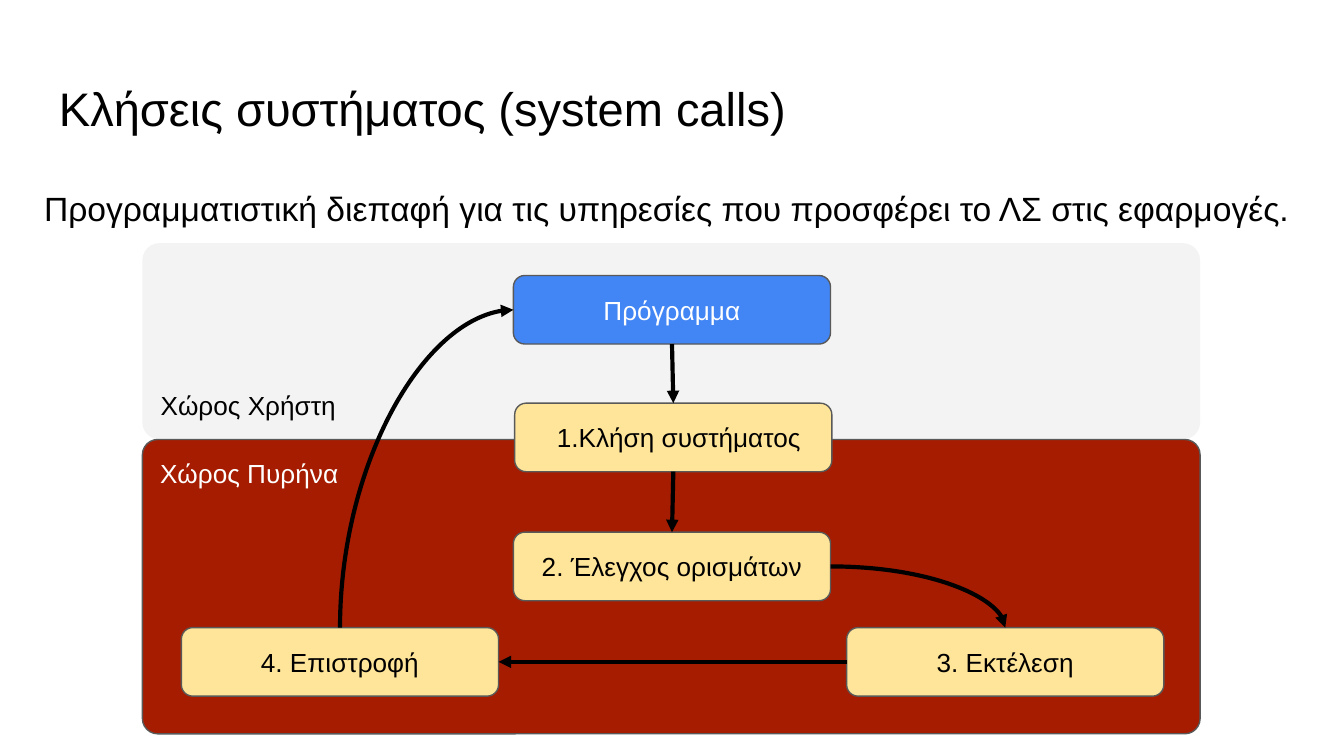
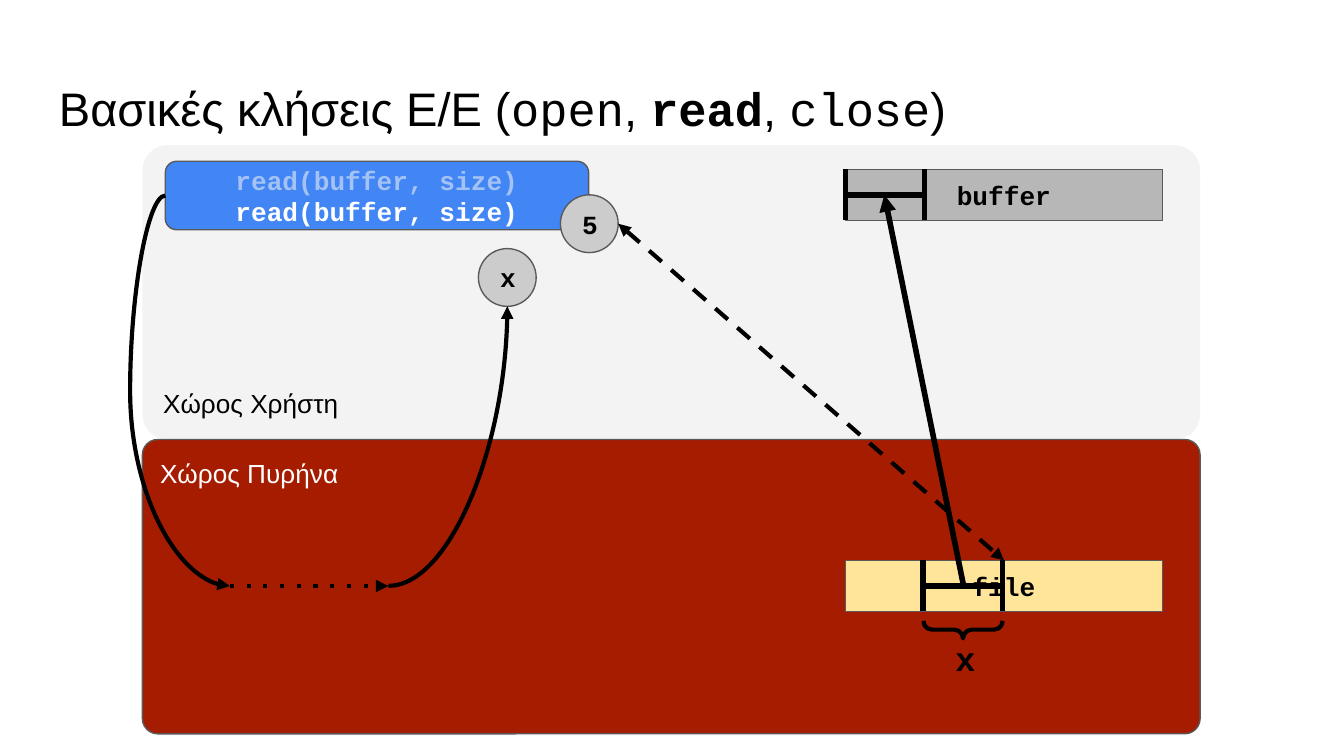
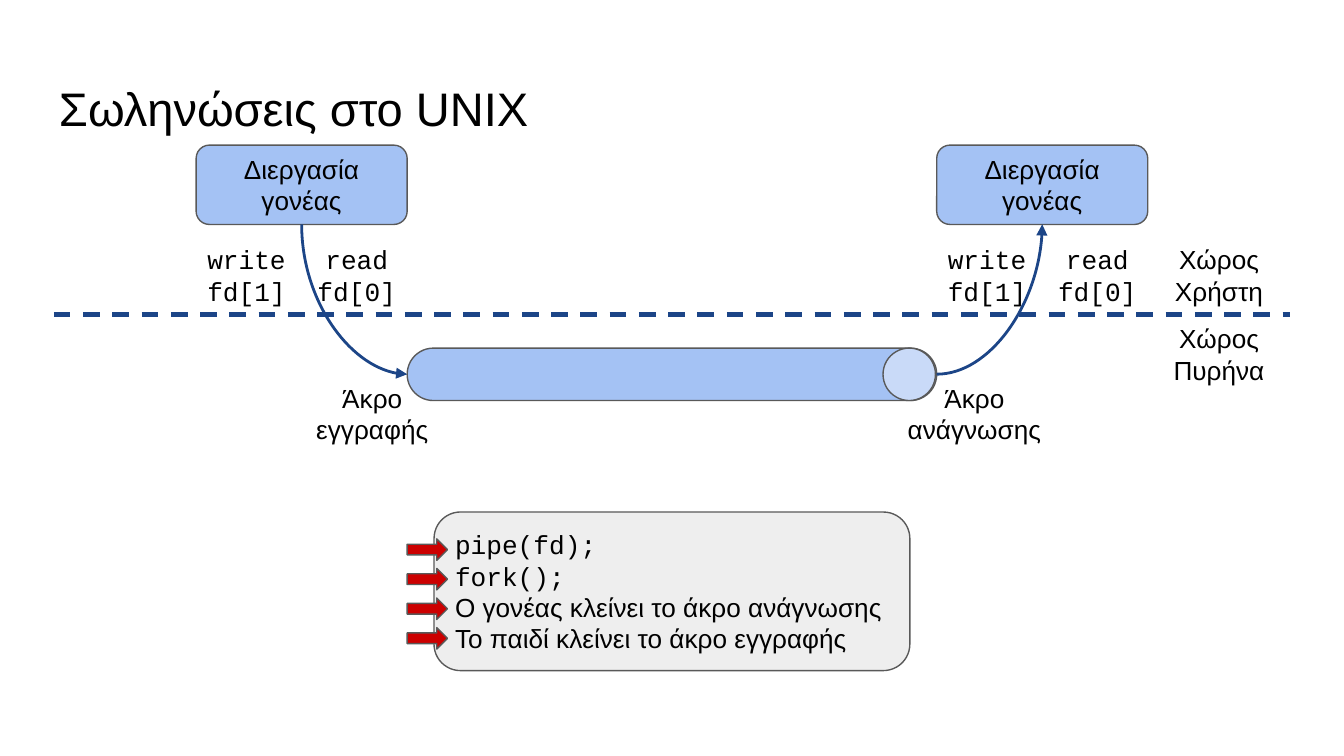
from dataclasses import dataclass
from typing import NamedTuple, Optional, Union

from lxml.etree import SubElement
from pptx import Presentation
from pptx.dml.color import RGBColor
from pptx.enum.shapes import MSO_CONNECTOR as Wire, MSO_SHAPE as Form
from pptx.enum.text import MSO_ANCHOR as Anchor, PP_ALIGN as Align
from pptx.oxml.ns import qn
from pptx.shapes.autoshape import Shape
from pptx.shapes.connector import Connector
from pptx.slide import Slide
from pptx.util import Pt

PX = 9144  # EMU: 100 px to the inch
WIDE = 1000


@dataclass(frozen=True)
class Theme:
    sans: str = "Arial"
    mono: str = "Courier New"
    head: float = 25.2
    body: float = 18
    note: float = 14
    black: str = "000000"
    white: str = "FFFFFF"
    edge: str = "595959"
    user: str = "F3F3F3"
    kernel: str = "A61C00"
    step: str = "FFE599"
    app: str = "4285F4"
    pale: str = "A4C2F4"
    mouth: str = "C9DAF8"
    navy: str = "1C4587"
    store: str = "B7B7B7"
    disc: str = "CCCCCC"
    code: str = "EEEEEE"
    mark: str = "CC0000"


T = Theme()


class Rect(NamedTuple):
    x: int
    y: int
    w: int
    h: int


class Run(NamedTuple):
    text: str
    face: Optional[str] = None
    bold: Optional[bool] = None
    color: Optional[str] = None


class Pin(NamedTuple):
    """Middle of a side of a shape: 0 top, 1 left, 2 bottom, 3 right."""
    box: Shape
    side: int


class Spot(NamedTuple):
    x: int
    y: int


End = Union[Pin, Spot]
SIDES = ((0.5, 0), (0, 0.5), (0.5, 1), (1, 0.5))


@dataclass(frozen=True)
class Pen:
    color: str = T.black
    width: float = 2.25
    dash: str = ""
    head: bool = False
    tail: bool = True


ARROW = Pen()
BAR = Pen(width=3, tail=False)
FLOW = Pen(T.navy, 1.5)


@dataclass(frozen=True)
class Card:
    """A filled shape with its text."""
    rect: Rect
    text: tuple = ()
    fill: str = T.step
    form: Form = Form.ROUNDED_RECTANGLE
    edge: bool = True
    adj: tuple = ()
    color: str = T.black
    face: str = T.sans
    bold: bool = False
    align: Align = Align.CENTER
    anchor: Anchor = Anchor.MIDDLE


def rgb(code: str) -> RGBColor:
    return RGBColor.from_string(code)


def write(shape: Shape, paras: tuple, *, size: float = T.note, color: str = T.black,
          face: str = T.sans, bold: bool = False, align: Align = Align.CENTER,
          anchor: Anchor = Anchor.MIDDLE, lead: Optional[float] = None,
          after: Optional[float] = None) -> None:
    """Fill a shape with paragraphs, each a string or a tuple of runs."""
    frame = shape.text_frame
    frame.word_wrap = True
    frame.vertical_anchor = anchor
    frame.margin_left = frame.margin_right = 10 * PX
    frame.margin_top = frame.margin_bottom = 10 * PX
    for i, para in enumerate(paras):
        p = frame.add_paragraph() if i else frame.paragraphs[0]
        p.alignment = align
        if lead:
            p.line_spacing = lead
        if after:
            p.space_after = Pt(after)
        for part in (Run(para),) if isinstance(para, str) else para:
            r = p.add_run()
            r.text = part.text
            r.font.size = Pt(size)
            r.font.name = part.face or face
            r.font.bold = bold if part.bold is None else part.bold
            r.font.color.rgb = rgb(part.color or color)


def label(slide: Slide, rect: Rect, *paras, **fmt) -> None:
    write(slide.shapes.add_textbox(*(v * PX for v in rect)), paras, **fmt)


def title(slide: Slide, para) -> None:
    label(slide, Rect(34, 49, 932, 63), para, size=T.head,
          align=Align.LEFT, anchor=Anchor.TOP)


def draw(slide: Slide, card: Card) -> Shape:
    shape = slide.shapes.add_shape(card.form, *(v * PX for v in card.rect))
    shape.shadow.inherit = False
    shape.fill.solid()
    shape.fill.fore_color.rgb = rgb(card.fill)
    if card.edge:
        shape.line.color.rgb = rgb(T.edge)
        shape.line.width = Pt(0.75)
    else:
        shape.line.fill.background()
    for i, value in enumerate(card.adj):
        shape.adjustments[i] = value
    if card.text:
        write(shape, card.text, color=card.color, face=card.face, bold=card.bold,
              align=card.align, anchor=card.anchor)
    return shape


def number(shape: Shape) -> None:
    """Turn the first paragraph into item 1 of a numbered list."""
    p = shape.text_frame.paragraphs[0]
    p.alignment = Align.LEFT
    props = p._p.get_or_add_pPr()
    props.set("marL", str(34 * PX))
    props.set("indent", str(-15 * PX))
    SubElement(SubElement(props, qn("a:buClr")), qn("a:srgbClr"), val=T.black)
    SubElement(props, qn("a:buAutoNum"), type="arabicPeriod")


def place(end: End) -> tuple[int, int]:
    if isinstance(end, Spot):
        return end.x * PX, end.y * PX
    box, (fx, fy) = end.box, SIDES[end.side]
    return box.left + int(box.width * fx), box.top + int(box.height * fy)


def join(slide: Slide, a: End, b: End, pen: Pen = ARROW,
         kind: Wire = Wire.STRAIGHT) -> Connector:
    line = slide.shapes.add_connector(kind, *place(a), *place(b))
    for end, glue, tag in ((a, line.begin_connect, "stCxn"),
                           (b, line.end_connect, "endCxn")):
        if isinstance(end, Pin):
            glue(end.box, end.side)
            if end.box.auto_shape_type == Form.OVAL:  # an oval has eight sites
                line.element.xpath(f".//a:{tag}")[0].set("idx", str(end.side * 2))
    line.line.color.rgb = rgb(pen.color)
    line.line.width = Pt(pen.width)
    ln = line.element.xpath(".//a:ln")[0]
    if pen.dash:
        SubElement(ln, qn("a:prstDash"), val=pen.dash)
    for on, tag in ((pen.head, "a:headEnd"), (pen.tail, "a:tailEnd")):
        if on:
            SubElement(ln, qn(tag), type="triangle")
    SubElement(ln.getparent(), qn("a:effectLst"))
    return line


def bend(slide: Slide, a: End, b: End, pen: Pen = ARROW, upright: bool = False) -> None:
    """Quarter curve; upright ones leave vertically and run to the right."""
    line = join(slide, a, b, pen, Wire.CURVE)
    line.element.xpath(".//a:prstGeom")[0].set("prst", "curvedConnector2")
    if not upright:
        return
    (ax, ay), (bx, by) = place(a), place(b)
    w, h = abs(by - ay), abs(bx - ax)
    line.left, line.top = (ax + bx - w) // 2, (ay + by - h) // 2
    line.width, line.height = w, h
    xfrm = line.element.xpath(".//a:xfrm")[0]
    xfrm.set("rot", "16200000")
    xfrm.set("flipH", str(int(by > ay)))
    xfrm.set("flipV", "0")


def zones(slide: Slide, top: int) -> None:
    """User space from top down to the kernel space below it."""
    split = 327
    draw(slide, Card(Rect(106, top, 787, split - top), ("Χώρος Χρήστη",), T.user,
                     edge=False, adj=(0.087,), align=Align.LEFT, anchor=Anchor.BOTTOM))
    draw(slide, Card(Rect(106, split, 787, 219), ("Χώρος Πυρήνα",), T.kernel,
                     adj=(0.052,), color=T.white, align=Align.LEFT, anchor=Anchor.TOP))


def calls(slide: Slide) -> None:
    zones(slide, 181)
    title(slide, "Κλήσεις συστήματος (system calls)")
    label(slide, Rect(23, 125, 953, 55),
          "Προγραμματιστική διεπαφή για τις υπηρεσίες που προσφέρει το ΛΣ στις εφαρμογές.",
          size=T.body, align=Align.LEFT, anchor=Anchor.TOP, lead=1.15, after=12)

    def step(x: int, y: int, text: str, **look) -> Shape:
        return draw(slide, Card(Rect(x, y, 236, 51), (text,), **look))

    call = step(383, 300, "Κλήση συστήματος")
    number(call)
    check = step(382, 396, "2. Έλεγχος ορισμάτων")
    run = step(630, 467, "3. Εκτέλεση")
    back = step(135, 467, "4. Επιστροφή")
    prog = step(382, 205, "Πρόγραμμα", fill=T.app, color=T.white)
    join(slide, Pin(prog, 2), Pin(call, 0))
    join(slide, Pin(call, 2), Pin(check, 0))
    bend(slide, Pin(check, 3), Pin(run, 0))
    join(slide, Pin(run, 1), Pin(back, 3))
    bend(slide, Pin(back, 0), Pin(prog, 1), upright=True)


def reading(slide: Slide) -> None:
    zones(slide, 108)
    title(slide, (Run("Βασικές κλήσεις E/E ("), Run("open", T.mono), Run(", "),
                  Run("read", T.mono, True), Run(", "), Run("close", T.mono), Run(")")))

    def code(rect: Rect, *text, **look) -> Shape:
        return draw(slide, Card(rect, text, face=T.mono, bold=True, **look))

    read, tall = "read(buffer, size)", 38
    prog = code(Rect(123, 120, 315, 51), (Run(read, color=T.pale),), read,
                fill=T.app, color=T.white)
    buffer = code(Rect(629, 126, 236, tall), "buffer", fill=T.store, form=Form.RECTANGLE)
    code(Rect(629, 417, 236, tall), "file", form=Form.RECTANGLE)
    five = code(Rect(417, 145, 43, 43), "5", fill=T.disc, form=Form.OVAL)
    count = code(Rect(356, 185, 43, 43), "x", fill=T.disc, form=Form.OVAL)

    join(slide, Pin(five, 3), Spot(747, 417), Pen(dash="dash", head=True))
    start, stop = Spot(171, 436), Spot(289, 436)
    loop = join(slide, Pin(prog, 1), start, kind=Wire.CURVE)
    SubElement(loop.element.xpath(".//a:avLst")[0], qn("a:gd"),
               name="adj1", fmla="val -54600")
    bend(slide, stop, Pin(count, 2))
    join(slide, start, stop, Pen(dash="dot"))

    for x, y, left in ((687, 417, Spot(687, 436)), (629, 126, Pin(buffer, 1))):
        for edge in (x, x + 59):
            join(slide, Spot(edge, y), Spot(edge, y + tall), BAR)
        join(slide, left, Spot(x + 59, y + tall // 2), BAR)
    join(slide, Spot(717, 436), Spot(658, 145), Pen(width=3))

    brace = draw(slide, Card(Rect(710, 439, 13, 59), form=Form.LEFT_BRACE, adj=(0.5, 0.5)))
    brace.rotation = 270
    brace.fill.background()
    brace.line.color.rgb = rgb(T.black)
    brace.line.width = Pt(2.25)
    label(slide, Rect(701, 465, 39, 43), "x", size=T.body, face=T.mono, bold=True,
          align=Align.LEFT, anchor=Anchor.TOP)


def pipes(slide: Slide) -> None:
    title(slide, "Σωληνώσεις στο UNIX")
    tasks = []
    for x, port in ((146, 142), (697, 693)):
        tasks.append(draw(slide, Card(Rect(x, 108, 157, 59), ("Διεργασία", "γονέας"), T.pale)))
        for i, text in enumerate(("write fd[1]", "read fd[0]")):
            label(slide, Rect(port + 82 * i, 175, 83, 59), text, face=T.mono)
    pipe = draw(slide, Card(Rect(303, 259, 394, 39), fill=T.pale, adj=(0.5,)))
    draw(slide, Card(Rect(657, 259, 39, 39), fill=T.mouth, form=Form.OVAL))
    for rect, text in ((Rect(218, 278, 118, 59), "Άκρο εγγραφής"),
                       (Rect(664, 278, 122, 59), "Άκρο ανάγνωσης"),
                       (Rect(848, 234, 118, 59), "Χώρος Πυρήνα"),
                       (Rect(848, 175, 118, 59), "Χώρος Χρήστη")):
        label(slide, rect, text)
    bend(slide, Pin(tasks[0], 2), Pin(pipe, 1), FLOW, upright=True)
    bend(slide, Pin(pipe, 3), Pin(tasks[1], 2), FLOW)
    join(slide, Spot(40, 234), Spot(960, 234), Pen(T.navy, dash="dash", tail=False))

    lines = ((Run("pipe(fd);", T.mono),), (Run("fork();", T.mono),),
             "Ο γονέας κλείνει το άκρο ανάγνωσης", "Το παιδί κλείνει το άκρο εγγραφής")
    draw(slide, Card(Rect(323, 381, 354, 118), lines, T.code, align=Align.LEFT))
    for i in range(len(lines)):
        draw(slide, Card(Rect(303, 401 + 22 * i, 30, 16), fill=T.mark, form=Form.RIGHT_ARROW))


def main() -> None:
    deck = Presentation()
    deck.slide_width = WIDE * PX
    deck.slide_height = WIDE * PX * 9 // 16
    for fill in (calls, reading, pipes):
        fill(deck.slides.add_slide(deck.slide_layouts[6]))
    deck.save("out.pptx")


if __name__ == "__main__":
    main()
